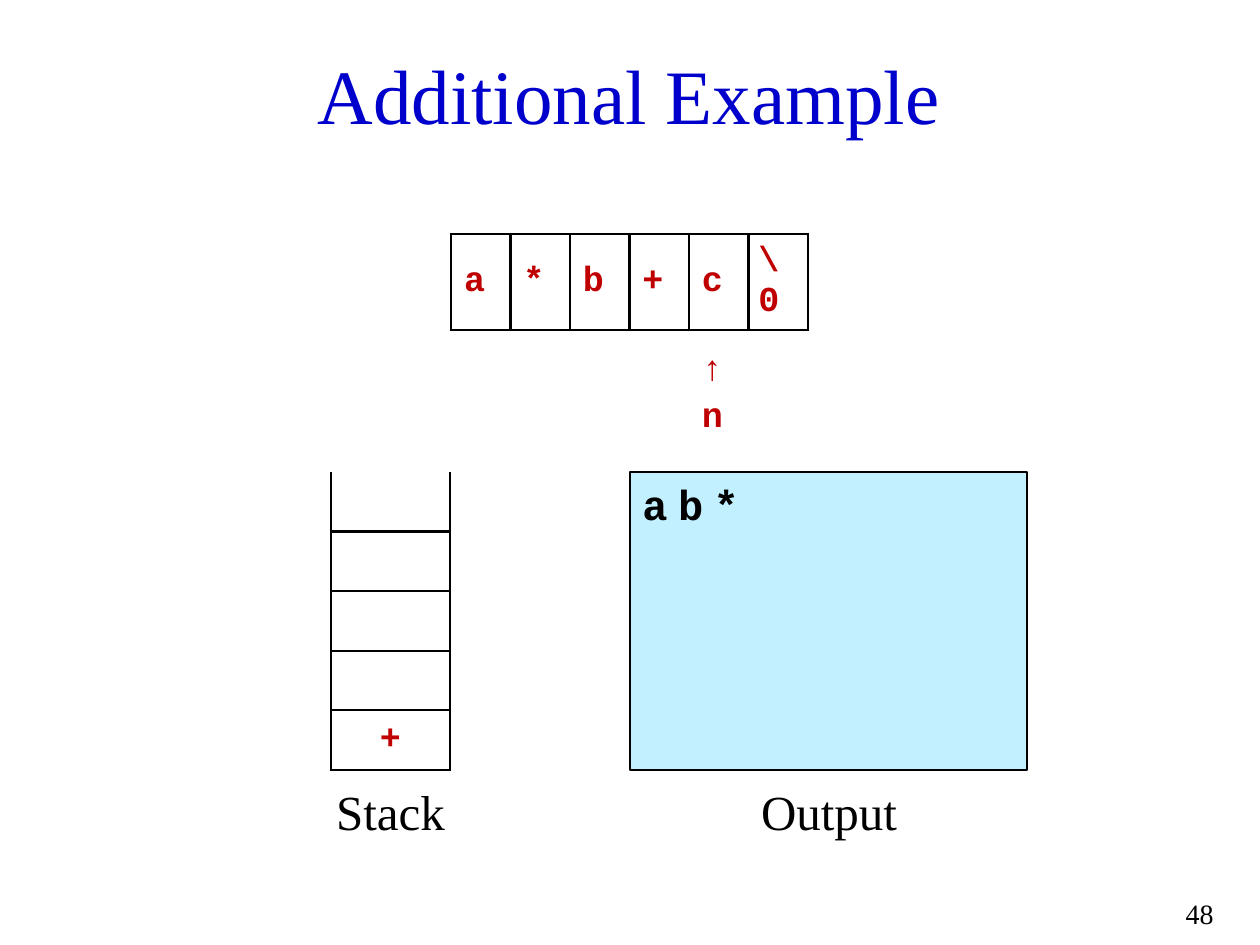
import lxml.etree
import pptx
import pptx.dml.color
import pptx.enum.shapes
import pptx.enum.text
import pptx.oxml.ns
import pptx.util

SCALE = 914400 / 126
COLORS = {"title": "0000CC", "ink": "000000", "token": "C00000", "output": "C2F0FF"}
SERIF, MONO = "Times New Roman", "Courier New"
ANCHOR = pptx.enum.text.MSO_ANCHOR
ALIGN = pptx.enum.text.PP_ALIGN
CELL_MARGINS = (13, 6, 13, 6)


def px(length):
    return round(length * SCALE)


def rgb(name):
    return pptx.dml.color.RGBColor.from_string(COLORS[name])


class SlideBuilder:
    """Draws styled elements on the current slide."""

    formats = {
        "title": ({"name": SERIF, "size": pptx.util.Pt(44), "bold": False}, "title"),
        "label": ({"name": SERIF, "size": pptx.util.Pt(28)}, "ink"),
        "number": ({"name": SERIF, "size": pptx.util.Pt(16)}, "ink"),
        "token": ({"name": MONO, "size": pptx.util.Pt(20), "bold": True}, "token"),
        "output": ({"name": MONO, "size": pptx.util.Pt(24), "bold": True}, "ink"),
    }
    border = pptx.util.Pt(1.5)

    def __init__(self, slide):
        self.slide = slide

    def add_words(self, frame, text, style, align=ALIGN.LEFT):
        paragraph = frame.paragraphs[0]
        paragraph.alignment = align
        run = paragraph.add_run()
        run.text = text
        values, color = self.formats[style]
        for key, value in values.items():
            setattr(run.font, key, value)
        run.font.color.rgb = rgb(color)
        return run

    def title(self, text, *box):
        heading = self.slide.shapes.title
        for key, value in zip(("left", "top", "width", "height"), box):
            setattr(heading, key, px(value))
        heading.text_frame.vertical_anchor = ANCHOR.MIDDLE
        self.add_words(heading.text_frame, text, "title", ALIGN.CENTER)

    def text(self, text, style, align, anchor, *box):
        frame = self.slide.shapes.add_textbox(*map(px, box)).text_frame
        frame.word_wrap = True
        frame.vertical_anchor = anchor
        self.add_words(frame, text, style, align)

    def panel(self, text, spacing, *box):
        kind = pptx.enum.shapes.MSO_SHAPE.RECTANGLE
        panel = self.slide.shapes.add_shape(kind, *map(px, box))
        panel.shadow.inherit = False
        panel.fill.solid()
        panel.fill.fore_color.rgb = rgb("output")
        panel.line.color.rgb = rgb("ink")
        panel.line.width = self.border
        panel.text_frame.vertical_anchor = ANCHOR.TOP
        run = self.add_words(panel.text_frame, text, "output")
        run._r.get_or_add_rPr().set("spc", str(spacing * 100))

    def table(self, rows, columns, *box):
        table = self.slide.shapes.add_table(rows, columns, *map(px, box)).table
        table.first_row = table.horz_banding = False
        return table

    def cell(self, cell, sides, text="", align=ALIGN.LEFT, anchor=ANCHOR.MIDDLE, margins=CELL_MARGINS):
        qn = pptx.oxml.ns.qn
        properties = cell._tc.get_or_add_tcPr()
        for side in "LRTB":
            line = lxml.etree.SubElement(properties, qn("a:ln" + side), w=str(int(self.border)))
            if side in sides:
                fill = lxml.etree.SubElement(line, qn("a:solidFill"))
                lxml.etree.SubElement(fill, qn("a:srgbClr"), val=COLORS["ink"])
            else:
                lxml.etree.SubElement(line, qn("a:noFill"))
        cell.fill.background()
        cell.vertical_anchor = anchor
        for side, margin in zip(("left", "top", "right", "bottom"), margins):
            setattr(cell, "margin_" + side, px(margin))
        if text:
            self.add_words(cell.text_frame, text, "token", align)

    def expression(self, tokens, current, *box):
        table = self.table(3, len(tokens), *box)
        for column, token in enumerate(tokens):
            margins = (10, 6, 10, 6) if len(token) > 1 else CELL_MARGINS
            arrow, name = ("↑", "n") if column == current else ("", "")
            self.cell(table.cell(0, column), "LRTB", token, margins=margins)
            self.cell(table.cell(1, column), "T", arrow, margins=(13, 20, 13, 0))
            self.cell(table.cell(2, column), "", name, anchor=ANCHOR.TOP)

    def stack(self, items, *box):
        table = self.table(len(items), 1, *box)
        for row, item in enumerate(items):
            sides = "LRTB" if row else "LRB"
            self.cell(table.cell(row, 0), sides, item, ALIGN.CENTER)


def main():
    presentation = pptx.Presentation()
    presentation.slide_width, presentation.slide_height = px(1260), px(945)
    builder = SlideBuilder(presentation.slides.add_slide(presentation.slide_layouts[5]))
    builder.title("Additional Example", 54, 35, 1150, 118)
    builder.text("48", "number", ALIGN.RIGHT, ANCHOR.TOP, 1147, 890, 79, 40)
    builder.expression(["a", "*", "b", "+", "c", "\\0"], 4, 451, 234, 357, 179)
    builder.stack(["", "", "", "", "+"], 331, 472, 119, 298)
    builder.panel("ab*", 6, 630, 472, 397, 298)
    for label, left, width in (("Output", 730, 198), ("Stack", 311, 159)):
        builder.text(label, "label", ALIGN.CENTER, ANCHOR.MIDDLE, left, 771, width, 79)
    presentation.save("out.pptx")


if __name__ == "__main__":
    main()
